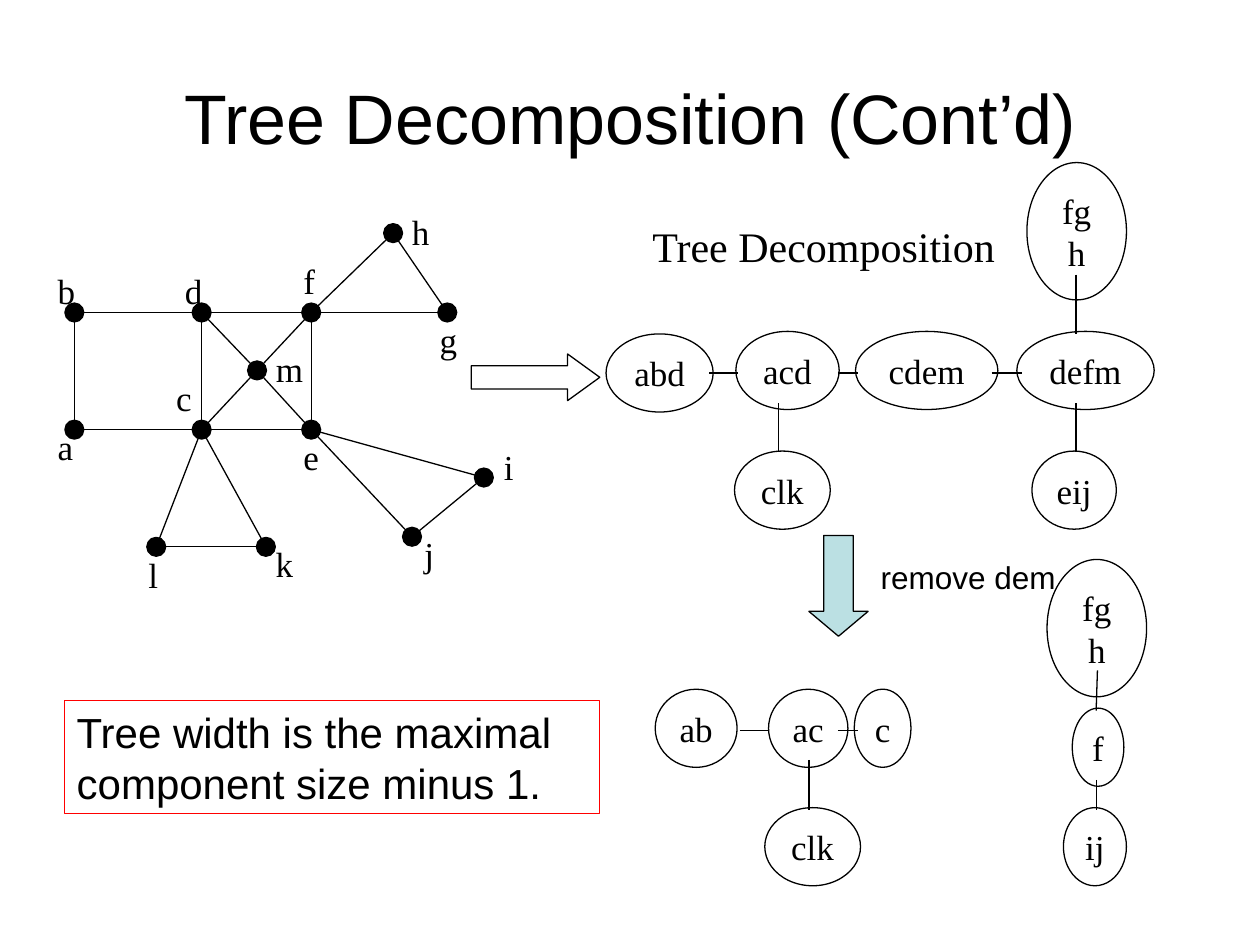
from lxml.etree import SubElement
from pptx import Presentation
from pptx.dml.color import RGBColor
from pptx.enum.shapes import MSO_CONNECTOR, MSO_SHAPE
from pptx.enum.text import MSO_ANCHOR, MSO_AUTO_SIZE, PP_ALIGN
from pptx.oxml.ns import qn
from pptx.util import Inches, Pt

BLACK = RGBColor(0x00, 0x00, 0x00)
RED = RGBColor(0xFF, 0x00, 0x00)
PALE_TEAL = RGBColor(0xBB, 0xE0, 0xE3)
SANS = "Arial"
SERIF = "Times New Roman"

VERTICES = {
    "b": (0.59, 2.48), "a": (0.59, 3.41), "m": (2.04, 2.94),
    "d": (1.6, 2.48), "c": (1.6, 3.41), "f": (2.47, 2.48),
    "e": (2.47, 3.41), "l": (1.24, 4.34), "k": (2.11, 4.34),
    "j": (3.27, 4.26), "i": (3.84, 3.79), "g": (3.55, 2.48),
    "h": (3.12, 1.85),
}
EDGES = "ba dc fe bd ac dm cm df me mf ce cl ck fh fg ej ei ij lk hg".split()
VERTEX_LABELS = {
    "a": (0.36, 3.33, 0.32), "b": (0.36, 2.09, 0.34), "c": (1.3, 2.94, 0.32),
    "d": (1.37, 2.09, 0.34), "f": (2.31, 2.01, 0.29), "e": (2.31, 3.41, 0.32),
    "m": (2.09, 2.71, 0.41), "l": (1.08, 4.34, 0.28), "k": (2.09, 4.26, 0.34),
    "j": (3.27, 4.18, 0.28), "i": (3.9, 3.49, 0.28), "h": (3.17, 1.62, 0.34),
    "g": (3.39, 2.48, 0.34),
}
DOT = 0.15
BAG_HEIGHT = 0.62
TALL_BAG_HEIGHT = 1.09

FULL_TREE_BAGS = [
    ("abd", 4.81, 2.65, 0.85), ("acd", 5.84, 2.63, 0.82),
    ("clk", 5.83, 3.58, 0.76), ("cdem", 6.79, 2.63, 1.13),
    ("defm", 8.07, 2.63, 1.09), ("fgh", 8.15, 1.29, 0.79),
    ("eij", 8.19, 3.58, 0.67),
]
FULL_TREE_LINKS = [
    ((5.63, 2.96), (5.86, 2.96)), ((6.65, 2.96), (6.81, 2.96)),
    ((7.87, 2.96), (8.11, 2.96)), ((8.54, 3.2), (8.54, 3.59)),
    ((8.54, 2.18), (8.54, 2.65)), ((6.18, 3.2), (6.18, 3.59)),
]
REDUCED_TREE_BAGS = [
    ("ab", 5.2, 5.47, 0.65), ("ac", 6.1, 5.47, 0.63),
    ("clk", 6.07, 6.41, 0.76), ("c", 6.78, 5.47, 0.45),
    ("f", 8.51, 5.62, 0.41), ("fgh", 8.31, 4.44, 0.79),
    ("ij", 8.44, 6.41, 0.5),
]
REDUCED_TREE_LINKS = [
    ((5.87, 5.8), (6.1, 5.8)), ((6.65, 5.8), (6.81, 5.8)),
    ((8.7, 6.19), (8.7, 6.43)), ((8.71, 5.32), (8.7, 5.64)),
    ((6.42, 6.03), (6.42, 6.43)),
]


class SlideBuilder:
    def __init__(self, slide):
        self.slide = slide
        self.shapes = slide.shapes
        self.line_width = Pt(0.75)

    def start_group(self):
        self.shapes = self.slide.shapes.add_group_shape().shapes

    def set_text(self, shape, lines, size, font, align=PP_ALIGN.LEFT,
                 anchor=MSO_ANCHOR.TOP, wrap=False):
        frame = shape.text_frame
        frame.text = "\n".join(lines)
        frame.auto_size = MSO_AUTO_SIZE.NONE
        frame.word_wrap = wrap
        frame.vertical_anchor = anchor
        for paragraph in frame.paragraphs:
            paragraph.alignment = align
            paragraph.font.size = Pt(size)
            paragraph.font.name = font
            paragraph.font.color.rgb = BLACK

    def title(self, text, left, top, width, height):
        title = self.slide.shapes.title
        title.left, title.top = Inches(left), Inches(top)
        title.width, title.height = Inches(width), Inches(height)
        self.set_text(title, [text], 40, SANS, PP_ALIGN.CENTER, MSO_ANCHOR.MIDDLE, True)

    def text(self, text, left, top, width, height, size, font):
        box = self.shapes.add_textbox(
            Inches(left), Inches(top), Inches(width), Inches(height))
        self.set_text(box, [text], size, font)

    def shape(self, kind, left, top, width, height, fill=None, line=BLACK,
              adjustments=()):
        shape = self.shapes.add_shape(
            kind, Inches(left), Inches(top), Inches(width), Inches(height))
        shape.shadow.inherit = False
        if fill is None:
            shape.fill.background()
        else:
            shape.fill.solid()
            shape.fill.fore_color.rgb = fill
        shape.line.color.rgb = line
        shape.line.width = self.line_width
        for index, value in enumerate(adjustments):
            shape.adjustments[index] = value
        return shape

    def dot(self, x, y):
        self.shape(MSO_SHAPE.OVAL, x - DOT / 2, y - DOT / 2, DOT, DOT, BLACK)

    def link(self, start, end):
        connector = self.shapes.add_connector(
            MSO_CONNECTOR.STRAIGHT, *[Inches(value) for value in (*start, *end)])
        connector.line.color.rgb = BLACK
        connector.line.width = self.line_width
        SubElement(connector.element.spPr, qn("a:effectLst"))

    def tree(self, bags, links):
        for name, left, top, width in bags:
            tall = name == "fgh"
            height = TALL_BAG_HEIGHT if tall else BAG_HEIGHT
            bag = self.shape(MSO_SHAPE.OVAL, left, top, width, height)
            self.set_text(bag, [name], 20, SERIF, PP_ALIGN.CENTER, MSO_ANCHOR.MIDDLE, tall)
        for start, end in links:
            self.link(start, end)

    def graph(self):
        for x, y in VERTICES.values():
            self.dot(x, y)
        for start, end in EDGES:
            self.link(VERTICES[start], VERTICES[end])
        for name, (left, top, width) in VERTEX_LABELS.items():
            self.text(name, left, top, width, 0.44, 20, SERIF)


def main():
    presentation = Presentation()
    presentation.slide_width = Inches(10)
    presentation.slide_height = Inches(7.5)
    builder = SlideBuilder(presentation.slides.add_slide(presentation.slide_layouts[5]))

    builder.title("Tree Decomposition (Cont’d)", 0.5, 0.3, 9, 1.25)
    builder.shape(MSO_SHAPE.RIGHT_ARROW, 3.74, 2.81, 1.02, 0.37, adjustments=(0.5, 0.69))
    builder.text("Tree Decomposition", 5.08, 1.7, 2.93, 0.5, 24, SERIF)
    definition = builder.shape(MSO_SHAPE.RECTANGLE, 0.51, 5.56, 4.25, 0.9, line=RED)
    builder.set_text(definition, ["Tree width is the maximal", "component size minus 1."],
                     24, SANS, wrap=True)

    builder.start_group()
    builder.graph()

    builder.start_group()
    builder.tree(FULL_TREE_BAGS, FULL_TREE_LINKS)

    builder.start_group()
    builder.tree(REDUCED_TREE_BAGS, REDUCED_TREE_LINKS)
    builder.shape(MSO_SHAPE.DOWN_ARROW, 6.42, 4.25, 0.47, 0.8, PALE_TEAL,
                  adjustments=(0.5, 0.42))
    builder.text("remove dem", 6.89, 4.38, 1.59, 0.4, 18, SANS)

    presentation.save("out.pptx")


if __name__ == "__main__":
    main()
